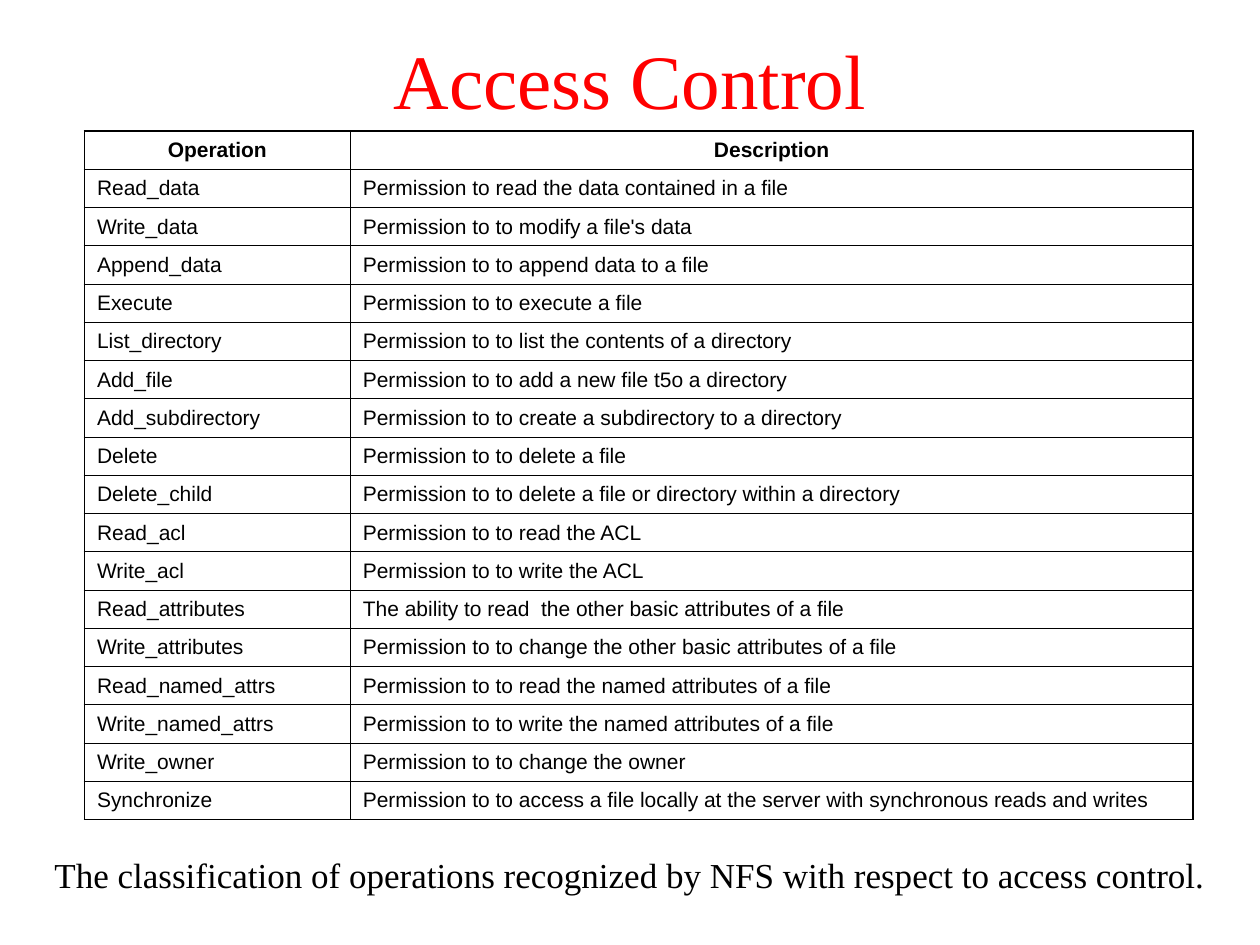
import pptx
import pptx.dml.color
import pptx.enum.text
import pptx.oxml.ns
import pptx.util
import lxml.etree
from pptx.util import Inches

COLORS = {"title": "FF0000", "text": "000000", "border": "000000"}
THIN, THICK = 0.45, 1.08
ALIGN = pptx.enum.text.PP_ALIGN
ANCHOR = pptx.enum.text.MSO_ANCHOR

OPERATIONS = [
    ("Operation", "Description"),
    ("Read_data", "Permission to read the data contained in a file"),
    ("Write_data", "Permission to to modify a file's data"),
    ("Append_data", "Permission to to append data to a file"),
    ("Execute", "Permission to to execute a file"),
    ("List_directory", "Permission to to list the contents of a directory"),
    ("Add_file", "Permission to to add a new file t5o a directory"),
    ("Add_subdirectory", "Permission to to create a subdirectory to a directory"),
    ("Delete", "Permission to to delete a file"),
    ("Delete_child", "Permission to to delete a file or directory within a directory"),
    ("Read_acl", "Permission to to read the ACL"),
    ("Write_acl", "Permission to to write the ACL"),
    ("Read_attributes", "The ability to read  the other basic attributes of a file"),
    ("Write_attributes", "Permission to to change the other basic attributes of a file"),
    ("Read_named_attrs", "Permission to to read the named attributes of a file"),
    ("Write_named_attrs", "Permission to to write the named attributes of a file"),
    ("Write_owner", "Permission to to change the owner"),
    ("Synchronize", "Permission to to access a file locally at the server with synchronous reads and writes"),
]


class SlideBuilder:
    heading_font = "Times New Roman"
    table_font = "Arial"

    def __init__(self, slide):
        self.slide = slide

    def format(self, p, font, size, color, bold=False, align=ALIGN.LEFT, before=0):
        p.alignment = align
        p.space_before = pptx.util.Pt(before)
        p.font.name = font
        p.font.size = pptx.util.Pt(size)
        p.font.bold = bold
        p.font.color.rgb = pptx.dml.color.RGBColor.from_string(COLORS[color])

    def title(self, text, left, top, width, height):
        sp = self.slide.shapes.title
        sp.left, sp.top = Inches(left), Inches(top)
        sp.width, sp.height = Inches(width), Inches(height)
        tf = sp.text_frame
        tf.text = text
        tf.vertical_anchor = ANCHOR.MIDDLE
        self.format(tf.paragraphs[0], self.heading_font, 44, "title", align=ALIGN.CENTER)

    def caption(self, text, left, top, width, height):
        sp = self.slide.shapes.add_textbox(
            Inches(left), Inches(top), Inches(width), Inches(height))
        tf = sp.text_frame
        tf.word_wrap = True
        tf.text = text
        p = tf.paragraphs[0]
        self.format(p, self.heading_font, 20, "text", align=ALIGN.CENTER, before=5)
        p.line_spacing = 0.9

    def borders(self, cell, widths):
        tc_pr = cell._tc.get_or_add_tcPr()
        qn = pptx.oxml.ns.qn
        for i, (side, width) in enumerate(widths.items()):
            ln = lxml.etree.Element(qn("a:ln" + side), w=str(pptx.util.Pt(width)))
            fill = lxml.etree.SubElement(ln, qn("a:solidFill"))
            lxml.etree.SubElement(fill, qn("a:srgbClr"), val=COLORS["border"])
            tc_pr.insert(i, ln)

    def table(self, rows, left, top, col_widths, height):
        last_row, last_col = len(rows) - 1, len(col_widths) - 1
        table = self.slide.shapes.add_table(
            len(rows), len(col_widths), Inches(left), Inches(top),
            Inches(sum(col_widths)), Inches(height)).table
        table.first_row = table.horz_banding = False
        for column, width in zip(table.columns, col_widths):
            column.width = Inches(width)
        for r, values in enumerate(rows):
            table.rows[r].height = Inches(height / len(rows))
            header = r == 0
            for c, value in enumerate(values):
                cell = table.cell(r, c)
                cell.text = value
                cell.vertical_anchor = ANCHOR.MIDDLE
                cell.fill.background()
                self.format(cell.text_frame.paragraphs[0], self.table_font, 12, "text",
                            header, ALIGN.CENTER if header else ALIGN.LEFT, 3)
                self.borders(cell, {
                    "L": THICK if c == 0 else THIN,
                    "R": THICK if c == last_col else THIN,
                    "T": THICK if header else THIN,
                    "B": THICK if r == last_row else THIN,
                })


def main():
    prs = pptx.Presentation()
    prs.slide_width, prs.slide_height = Inches(10), Inches(7.5)
    builder = SlideBuilder(prs.slides.add_slide(prs.slide_layouts[5]))
    builder.title("Access Control", 0, 0, 10, 1.25)
    builder.caption(
        "The classification of operations recognized by NFS with respect to access control.",
        0, 6.76, 10, 0.41)
    builder.table(OPERATIONS, 0.67, 1.04, (2.11, 6.69), 5.47)
    prs.save("out.pptx")


if __name__ == "__main__":
    main()
